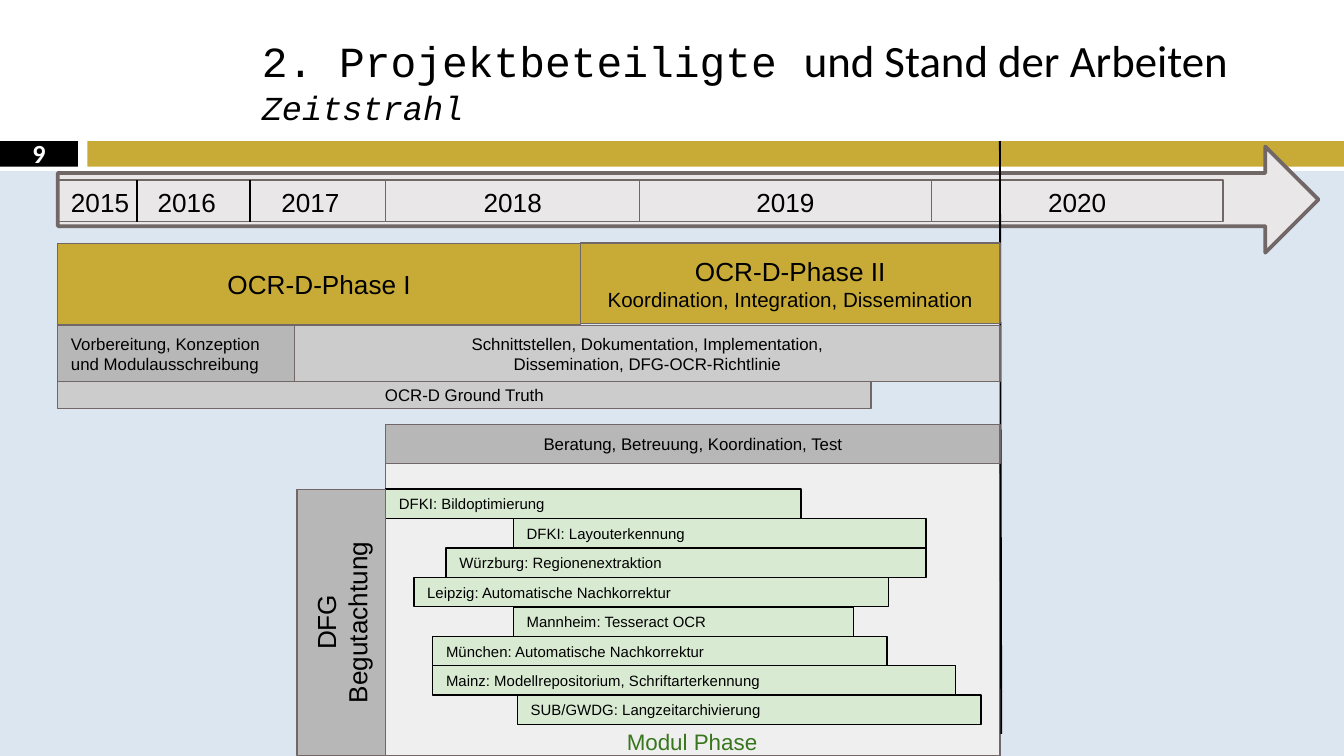
from lxml import etree
from pptx import Presentation, util as u
from pptx.dml.color import RGBColor
from pptx.enum import shapes, text
from pptx.oxml.ns import qn

BLACK = RGBColor(0x00, 0x00, 0x00)
WHITE = RGBColor(0xFF, 0xFF, 0xFF)
SKY = RGBColor(0xDB, 0xE6, 0xF1)
GOLD = RGBColor(0xC8, 0xAB, 0x37)
BROWN = RGBColor(0x71, 0x67, 0x67)
ARROW_GREY = RGBColor(0xE9, 0xE7, 0xE7)
PALE_GREY = RGBColor(0xEF, 0xEF, 0xEF)
LIGHT_GREY = RGBColor(0xCC, 0xCC, 0xCC)
MID_GREY = RGBColor(0xB7, 0xB7, 0xB7)
MINT = RGBColor(0xD9, 0xEA, 0xD3)
GREEN = RGBColor(0x38, 0x76, 0x1D)

LEFT, CENTER = text.PP_ALIGN.LEFT, text.PP_ALIGN.CENTER
TOP, MIDDLE = text.MSO_ANCHOR.TOP, text.MSO_ANCHOR.MIDDLE

# The grid has ten columns and ten rows to the inch.
COLUMNS, ROWS = 100, 56.25
START, TODAY = 4.3, 74.4
YEARS = {"2018": (28.7, 47.6), "2019": (47.6, 69.3), "2020": (69.3, 91)}
MODULE_START = YEARS["2018"][0]
YEAR_TOP, YEAR_BOTTOM = 13.4, 16.5

MODULES = [
    ("DFKI: Bildoptimierung", MODULE_START, 59.6),
    ("DFKI: Layouterkennung", 38.2, 68.9),
    ("Würzburg: Regionenextraktion", 33.2, 68.9),
    ("Leipzig: Automatische Nachkorrektur", 30.8, 66.1),
    ("Mannheim: Tesseract OCR", 38.2, 63.5),
    ("München: Automatische Nachkorrektur", 32.2, 66),
    ("Mainz: Modellrepositorium, Schriftarterkennung", 32.2, 71.1),
    ("SUB/GWDG: Langzeitarchivierung", 38.5, 73),
]
MODULE_TOP, MODULE_PITCH = 36.4, 2.19


def grid(*lengths):
    return [u.Inches(length / 10) for length in lengths]


class Timeline:
    """Holds the style and the current slide; edges are grid columns and rows."""

    font = "Arial"

    def __init__(self, page):
        self.page = page

    def bar(self, left, top, right, bottom, fill=None, line=BROWN, width=0.75,
            kind=shapes.MSO_SHAPE.RECTANGLE):
        shape = self.page.shapes.add_shape(
            kind, *grid(left, top, right - left, bottom - top))
        shape.shadow.inherit = False
        if fill is None:
            shape.fill.background()
        else:
            shape.fill.solid()
            shape.fill.fore_color.rgb = fill
        if line is None:
            shape.line.fill.background()
        else:
            shape.line.color.rgb = line
            shape.line.width = u.Pt(width)
        return shape

    def text_box(self, left, top, right, bottom):
        return self.page.shapes.add_textbox(
            *grid(left, top, right - left, bottom - top))

    def label(self, shape, words, size, align=CENTER, anchor=MIDDLE,
              color=BLACK, sizes=(), tabs=()):
        """Fill a shape with text; sizes overrides size paragraph by paragraph."""
        frame = shape.text_frame
        frame.word_wrap = True
        frame.vertical_anchor = anchor
        frame.text = words
        for index, para in enumerate(frame.paragraphs):
            para.alignment = align
            if tabs:
                stops = etree.SubElement(para._p.get_or_add_pPr(), qn("a:tabLst"))
                for stop in grid(*tabs):
                    etree.SubElement(stops, qn("a:tab"), pos=str(stop), algn="l")
            para.font.name = self.font
            para.font.size = u.Pt(sizes[index] if sizes else size)
            para.font.color.rgb = color
        return frame

    def line(self, x1, y1, x2, y2):
        line = self.page.shapes.add_connector(
            shapes.MSO_CONNECTOR.STRAIGHT, *grid(x1, y1, x2, y2))
        line.line.color.rgb = BLACK
        line.line.width = u.Pt(1)
        etree.SubElement(line._element.spPr, qn("a:effectLst"))

    def title(self, box, spans, subtitle):
        frame = box.text_frame
        frame.word_wrap = True
        frame.vertical_anchor = MIDDLE
        para = frame.paragraphs[0]
        para.font.color.rgb = BLACK
        for words, name, size in spans:
            self.span(para, words, name, size)
        para.add_line_break()
        self.span(para, *subtitle).font.italic = True

    def span(self, para, words, name, size):
        span = para.add_run()
        span.text = words
        span.font.name = name
        span.font.size = u.Pt(size)
        return span


def main():
    deck = Presentation()
    deck.slide_width, deck.slide_height = grid(COLUMNS, ROWS)
    chart = Timeline(deck.slides.add_slide(deck.slide_layouts[6]))

    # Background and header
    chart.bar(0, 12.8, COLUMNS, ROWS, SKY, SKY, 1.5)
    chart.bar(0, 10.1, COLUMNS, 12.7, WHITE, None)
    chart.bar(0, 10.5, 5.8, 12.4, BLACK, None)
    chart.bar(6.5, 10.5, COLUMNS, 12.4, GOLD, None)
    number = chart.label(chart.text_box(0, 10.4, 5.8, 12.4), "9", 14, color=WHITE)
    number.paragraphs[0].font.name = "Calibri"
    number.paragraphs[0].font.bold = True
    chart.title(chart.text_box(18.5, 1.9, 95.9, 10),
                [("2. Projektbeteiligte ", "Courier New", 23),
                 ("und Stand der Arbeiten", "Calibri", 24)],
                ("Zeitstrahl", "Courier New", 18))

    # Years
    chart.bar(START, 10.9, 98.1, 18.8, ARROW_GREY, width=2,
              kind=shapes.MSO_SHAPE.RIGHT_ARROW)
    early = chart.bar(START, YEAR_TOP, MODULE_START, YEAR_BOTTOM)
    chart.label(early, "2015\t2016\t2017", 14, LEFT, TOP, tabs=(6.45, 15.65))
    for year, (left, right) in YEARS.items():
        chart.label(chart.bar(left, YEAR_TOP, right, YEAR_BOTTOM), year, 14, anchor=TOP)
    for column in (10.2, 18.6):
        chart.line(column, YEAR_TOP, column, YEAR_BOTTOM)

    # Module phase
    chart.bar(MODULE_START, 32.1, TODAY, ROWS, PALE_GREY)
    for index, (name, left, right) in enumerate(MODULES):
        top = MODULE_TOP + index * MODULE_PITCH
        module = chart.bar(left, top, right, top + MODULE_PITCH, MINT, BLACK)
        chart.label(module, name, 8, LEFT)
    phase = chart.label(chart.text_box(42.7, 53.2, 60.3, 56.8), "Modul Phase", 12,
                        anchor=TOP, color=GREEN)
    phase.margin_top = u.Inches(0.1)
    review = chart.bar(15.5, 43, 35.3, 49.6, MID_GREY)
    review.rotation = 270
    chart.label(review, "DFG\nBegutachtung", 14)
    chart.line(TODAY, 10.5, 74.5, 54.6)

    # Project phases
    chart.label(chart.bar(START, 18.1, 43.2, 24.2, GOLD), "OCR-D-Phase I", 14)
    chart.label(chart.bar(43.2, 18.1, TODAY, 24.1, GOLD),
                "OCR-D-Phase II\nKoordination, Integration, Dissemination",
                14, sizes=(14, 11))
    chart.label(chart.bar(START, 24.2, 21.9, 28.4, MID_GREY),
                "Vorbereitung, Konzeption und Modulausschreibung", 9, LEFT)
    for words, left, top, right, bottom, fill in [
        ("OCR-D Ground Truth", START, 28.4, 64.8, 30.4, LIGHT_GREY),
        ("Schnittstellen, Dokumentation, Implementation,\n"
         "Dissemination, DFG-OCR-Richtlinie", 21.9, 24.2, TODAY, 28.4, LIGHT_GREY),
        ("Beratung, Betreuung, Koordination, Test",
         MODULE_START, 31.6, TODAY, 34.5, MID_GREY),
    ]:
        chart.label(chart.bar(left, top, right, bottom, fill), words, 9)

    deck.save("out.pptx")


if __name__ == "__main__":
    main()
